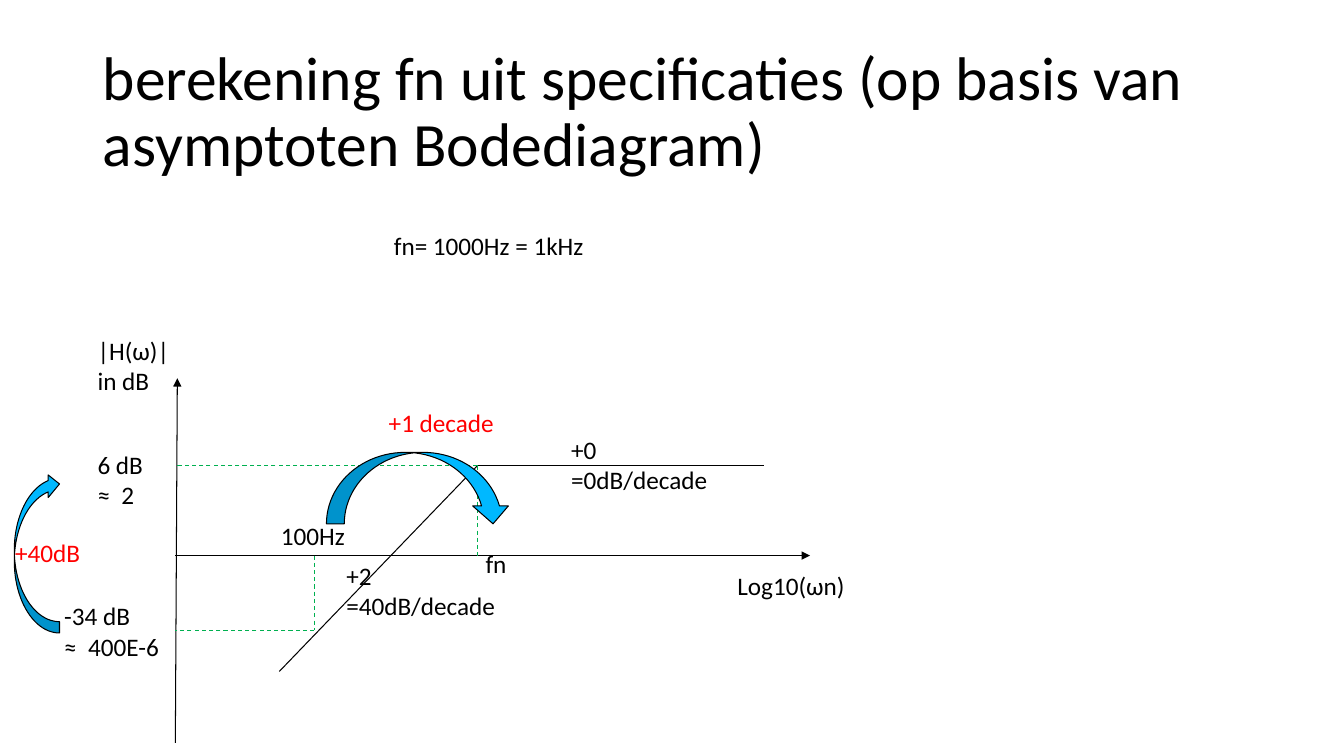
from lxml.etree import SubElement
from pptx import Presentation
from pptx.dml.color import RGBColor
from pptx.enum.dml import MSO_LINE_DASH_STYLE as Dash
from pptx.enum.shapes import MSO_CONNECTOR as Connector, MSO_SHAPE as Shape
from pptx.enum.text import MSO_ANCHOR as Anchor, MSO_AUTO_SIZE as AutoSize
from pptx.oxml.ns import qn
from pptx.util import Cm, Pt

COLORS = {"ink": "000000", "guide": "00B050", "arrow": "00B8FF", "accent": "FF0000"}
FONT = "Calibri"
LINE_HEIGHT, BOX_PADDING = 0.77, 0.25

# Lengths in cm
TITLE = "berekening fn uit specificaties (op basis van asymptoten Bodediagram)"
TITLE_AREA = (2.34, 1.02, 29.21, 3.68)

AXIS_X, AXIS_Y = 4.42, 14.0
FN_X, GAIN_Y = 12.04, 11.73
LOW_X, LOW_Y = 7.92, 15.88

ASYMPTOTES = [
    ((7.04, 16.92), (FN_X, GAIN_Y)),
    ((FN_X, GAIN_Y), (19.25, GAIN_Y)),
]
AXES = [
    ((AXIS_X, AXIS_Y), (20.42, AXIS_Y)),
    ((AXIS_X, 18.72), (4.47, 9.53)),
]
GUIDES = [
    ((FN_X, GAIN_Y), (AXIS_X, GAIN_Y)),
    ((FN_X, GAIN_Y), (FN_X, AXIS_Y)),
    ((LOW_X, AXIS_Y), (LOW_X, LOW_Y)),
    ((LOW_X, LOW_Y), (AXIS_X, LOW_Y)),
]

# shape, area, rotation, adjustments
CURVED_ARROWS = [
    (Shape.CURVED_LEFT_ARROW, (0.36, 11.91, 1.14, 4.04), 180, (0.25, 0.5, 0.25)),
    (Shape.CURVED_DOWN_ARROW, (8.23, 11.4, 4.65, 1.8), 0, (0.25, 0.5, 0.25)),
]

# left, top, width, lines, color
LABELS = [
    (18.34, 14.25, 5.41, ["Log10(ωn)"], "ink"),
    (11.99, 13.69, 2.39, ["fn"], "ink"),
    (2.21, 8.33, 2.79, ["|H(ω)|", "in dB"], "ink"),
    (2.21, 11.2, 2.79, ["6 dB", "≈  2"], "ink"),
    (6.83, 12.98, 2.82, ["100Hz"], "ink"),
    (1.37, 15.01, 3.12, ["-34 dB", "≈  400E-6"], "ink"),
    (8.48, 14.0, 5.21, ["+2", "=40dB/decade"], "ink"),
    (14.15, 10.82, 5.21, ["+0", "=0dB/decade"], "ink"),
    (9.68, 5.69, 6.81, ["fn= 1000Hz = 1kHz"], "ink"),
    (0.13, 13.41, 3.12, ["+40dB"], "accent"),
    (9.55, 10.13, 3.45, ["+1 decade"], "accent"),
]


def color(name):
    return RGBColor.from_string(COLORS[name])


def add_line(page, start, end, color_name="ink", dashed=False, arrow=False):
    line = page.shapes.add_connector(Connector.STRAIGHT, *map(Cm, start + end))
    line.line.color.rgb = color(color_name)
    line.line.width = Pt(0.75)
    if dashed:
        line.line.dash_style = Dash.DASH
    if arrow:
        SubElement(line.line._get_or_add_ln(), qn("a:tailEnd"), type="triangle")
    SubElement(line._element.spPr, qn("a:effectLst"))


def add_text(page, area, lines, size, color_name="ink"):
    box = page.shapes.add_textbox(*map(Cm, area))
    frame = box.text_frame
    frame.word_wrap = True
    frame.text = "\n".join(lines)
    for para in frame.paragraphs:
        para.font.name = FONT
        para.font.size = Pt(size)
        para.font.color.rgb = color(color_name)
    return frame


def add_curved_arrow(page, kind, area, rotation, adjustments):
    arrow = page.shapes.add_shape(kind, *map(Cm, area))
    arrow.shadow.inherit = False
    arrow.rotation = rotation
    for index, value in enumerate(adjustments):
        arrow.adjustments[index] = value
    arrow.fill.solid()
    arrow.fill.fore_color.rgb = color("arrow")
    arrow.line.color.rgb = color("ink")
    arrow.line.width = Pt(0.75)


def main():
    deck = Presentation()
    deck.slide_width, deck.slide_height = Cm(33.88), Cm(19.05)
    page = deck.slides.add_slide(deck.slide_layouts[6])

    title = add_text(page, TITLE_AREA, [TITLE], 44)
    title.vertical_anchor = Anchor.MIDDLE
    title.paragraphs[0].line_spacing = 0.9

    for start, end in ASYMPTOTES:
        add_line(page, start, end)
    for start, end in AXES:
        add_line(page, start, end, arrow=True)
    for start, end in GUIDES:
        add_line(page, start, end, "guide", dashed=True)
    for curved_arrow in CURVED_ARROWS:
        add_curved_arrow(page, *curved_arrow)
    for left, top, width, lines, color_name in LABELS:
        height = BOX_PADDING + LINE_HEIGHT * len(lines)
        label = add_text(page, (left, top, width, height), lines, 18, color_name)
        label.auto_size = AutoSize.SHAPE_TO_FIT_TEXT

    deck.save("out.pptx")


if __name__ == "__main__":
    main()
